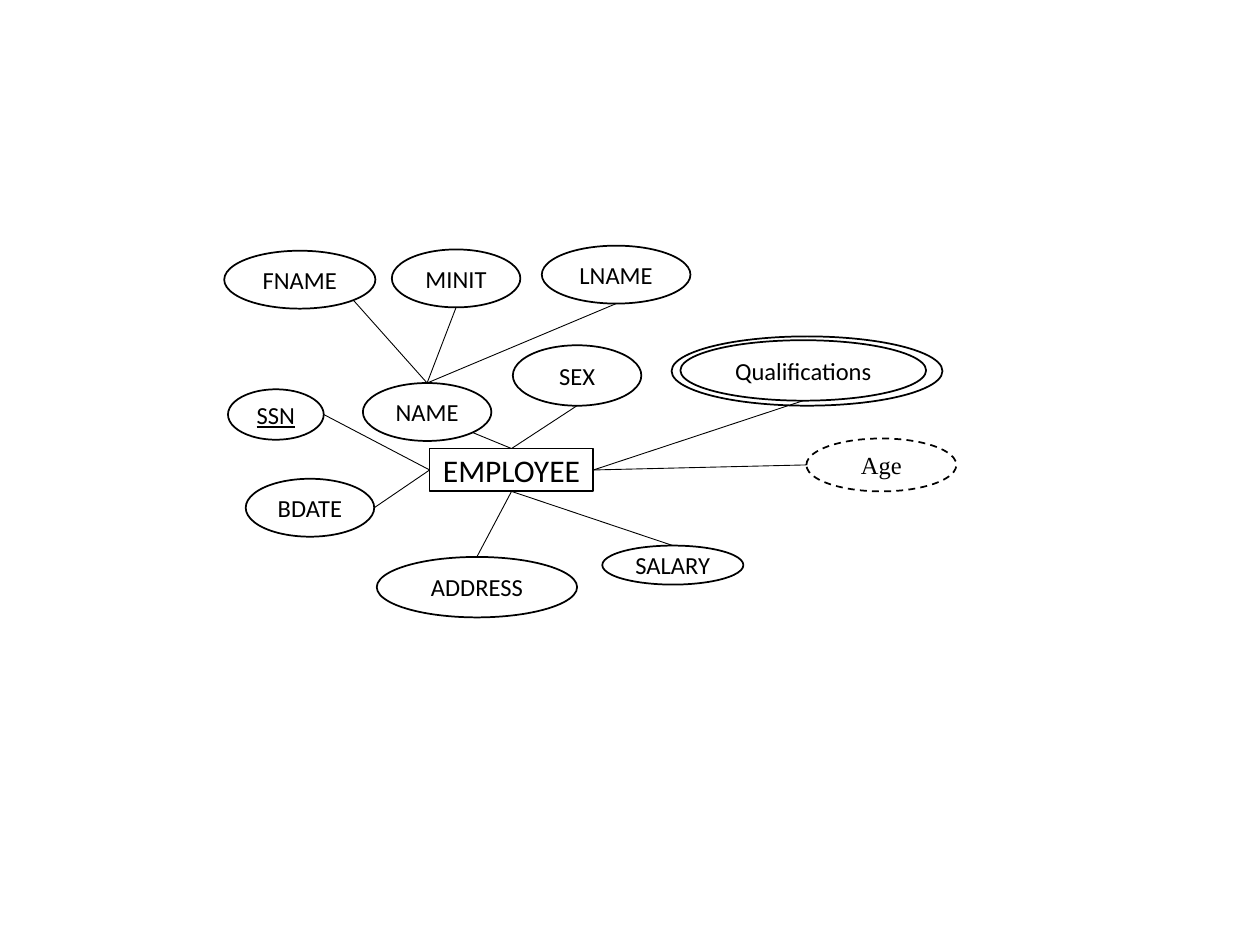
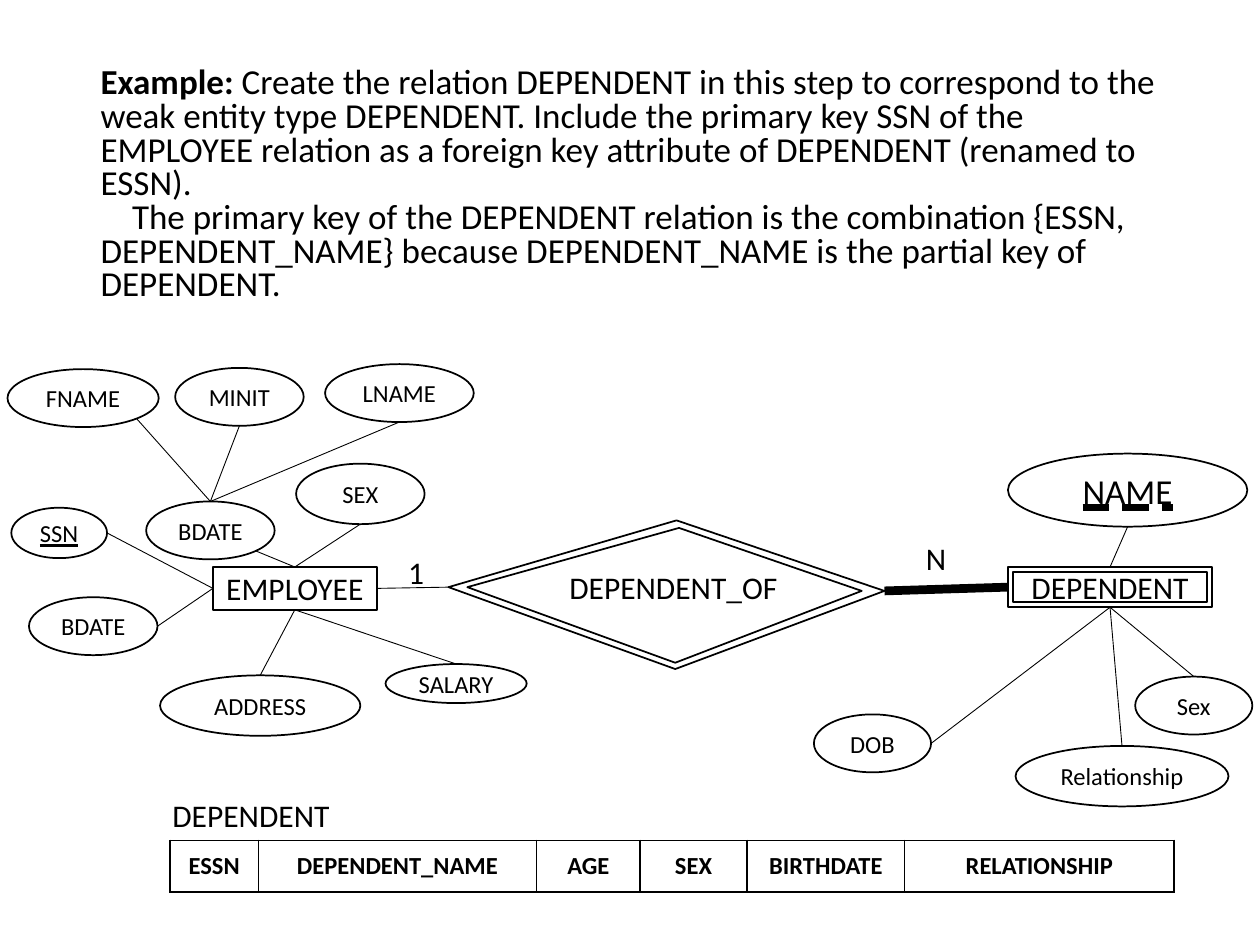
from dataclasses import dataclass
from typing import Optional

import pptx
import pptx.util
import pptx.dml.color
import pptx.enum.dml
import pptx.enum.shapes
import pptx.enum.text
import pptx.oxml
import pptx.oxml.ns

Inches = pptx.util.Inches
Pt = pptx.util.Pt
Shape = pptx.enum.shapes.MSO_SHAPE
Underline = pptx.enum.text.MSO_UNDERLINE

# Shared style
INK = pptx.dml.color.RGBColor(0x00, 0x00, 0x00)
PAPER = pptx.dml.color.RGBColor(0xFF, 0xFF, 0xFF)
FONT = "Calibri"
SERIF = "Times New Roman"
OUTLINE, HAIRLINE, HEAVY = 1, 0.5, 5

# Points on a node as fractions of its box
SIDES = {"top": (0.5, 0), "bottom": (0.5, 1), "left": (0, 0.5),
         "right": (1, 0.5), "lower right": (0.854, 0.854)}


@dataclass(frozen=True)
class Node:
    label: str
    x: float
    y: float
    w: float
    h: float
    kind: Shape = Shape.OVAL
    size: int = 14
    font: str = FONT
    underline: Optional[Underline] = None
    dashed: bool = False

    def point(self, side: str) -> tuple[float, float]:
        fx, fy = SIDES[side]
        return self.x + fx * self.w, self.y + fy * self.h


@dataclass(frozen=True)
class Link:
    """An attribute joined to one side of its owner."""
    node: Node
    side: str
    owner: Node
    owner_side: str


def add_run(p, text: str, size: int, bold: bool = False, font: str = FONT,
            underline: Optional[Underline] = None) -> None:
    r = p.add_run()
    r.text = text
    r.font.name = font
    r.font.size = Pt(size)
    r.font.bold = bold
    r.font.color.rgb = INK
    if underline is not None:
        r.font.underline = underline


def draw_node(s, node: Node) -> None:
    sp = s.shapes.add_shape(node.kind, Inches(node.x), Inches(node.y),
                            Inches(node.w), Inches(node.h))
    sp.shadow.inherit = False
    sp.fill.background()
    sp.line.color.rgb = INK
    sp.line.width = Pt(OUTLINE)
    if node.dashed:
        sp.line.dash_style = pptx.enum.dml.MSO_LINE.DASH
    if node.label:
        tf = sp.text_frame
        tf.word_wrap = False
        tf.vertical_anchor = pptx.enum.text.MSO_ANCHOR.MIDDLE
        p = tf.paragraphs[0]
        p.alignment = pptx.enum.text.PP_ALIGN.CENTER
        add_run(p, node.label, node.size, font=node.font,
                underline=node.underline)


def draw_line(s, start: tuple[float, float], end: tuple[float, float],
              width: float = HAIRLINE) -> None:
    cx = s.shapes.add_connector(
        pptx.enum.shapes.MSO_CONNECTOR.STRAIGHT,
        *(Inches(v) for v in (*start, *end)))
    cx.line.color.rgb = INK
    cx.line.width = Pt(width)
    cx._element.spPr.append(pptx.oxml.parse_xml(
        f"<a:effectLst {pptx.oxml.ns.nsdecls('a')}/>"))


def draw_links(s, links: list[Link]) -> None:
    for link in links:
        draw_node(s, link.node)
        draw_line(s, link.node.point(link.side),
                  link.owner.point(link.owner_side))


def draw_label(s, text: str, x: float, y: float, w: float) -> None:
    sp = s.shapes.add_textbox(Inches(x), Inches(y), Inches(w), Inches(0.4))
    sp.text_frame.word_wrap = False
    add_run(sp.text_frame.paragraphs[0], text, 18)


def draw_employee(s, dx: float, dy: float, name_label: str) -> Node:
    """Draw EMPLOYEE with its common attributes and return the entity."""
    def at(label: str, x: float, y: float, w: float, h: float, **style) -> Node:
        return Node(label, x + dx, y + dy, w, h, **style)

    employee = at("EMPLOYEE", 3.41, 3.56, 1.3, 0.34,
                  kind=Shape.RECTANGLE, size=18)
    name = at(name_label, 2.88, 3.04, 1.02, 0.46)
    ssn = at("SSN", 1.81, 3.09, 0.76, 0.4,
             underline=Underline.SINGLE_LINE)
    draw_node(s, employee)
    draw_links(s, [
        Link(ssn, "right", employee, "left"),
        Link(at("BDATE", 1.95, 3.8, 1.02, 0.46), "right", employee, "left"),
        Link(name, "lower right", employee, "top"),
        Link(at("LNAME", 4.3, 1.95, 1.18, 0.46), "bottom", name, "top"),
        Link(at("MINIT", 3.11, 1.98, 1.02, 0.46), "bottom", name, "top"),
        Link(at("FNAME", 1.78, 1.99, 1.2, 0.46), "lower right", name, "top"),
        Link(at("SEX", 4.07, 2.74, 1.02, 0.48), "bottom", employee, "top"),
        Link(at("ADDRESS", 2.99, 4.42, 1.59, 0.48), "top", employee, "bottom"),
        Link(at("SALARY", 4.78, 4.33, 1.12, 0.31), "top", employee, "bottom"),
    ])
    return employee


def draw_explanation(s) -> None:
    sp = s.shapes.add_textbox(Inches(0.2), Inches(0.49),
                              Inches(9.13), Inches(1.99))
    tf = sp.text_frame
    tf.word_wrap = True
    paragraphs = [
        (0, [("Example:", True),
             (" Create the relation DEPENDENT in this step to correspond to "
              "the weak entity type DEPENDENT. Include the primary key SSN of "
              "the EMPLOYEE relation as a foreign key attribute of DEPENDENT "
              "(renamed to ESSN).", False)]),
        (0.25, [("The primary key of the DEPENDENT relation is the combination "
                 "{ESSN, DEPENDENT_NAME} because DEPENDENT_NAME is the partial "
                 "key of DEPENDENT.", False)]),
    ]
    for i, (indent, runs) in enumerate(paragraphs):
        p = tf.add_paragraph() if i else tf.paragraphs[0]
        p.line_spacing = 0.8
        pPr = p._p.get_or_add_pPr()
        pPr.set("marL", str(Inches(0.5)))
        pPr.set("indent", str(Inches(indent)))
        for text, bold in runs:
            add_run(p, text, 20, bold)


def draw_relationship(s) -> None:
    """Double diamond of the identifying relationship."""
    outer = [(5.37, 4.13), (7.02, 4.69), (5.36, 5.31), (3.56, 4.66)]
    inner = [(5.39, 4.19), (3.71, 4.66), (5.36, 5.26), (6.84, 4.69)]
    outer, inner = ([(Inches(x), Inches(y)) for x, y in ring]
                    for ring in (outer, inner))
    fb = s.shapes.build_freeform(*outer[0])
    fb.add_line_segments(outer[1:])
    fb.move_to(*inner[0])
    fb.add_line_segments(inner[1:])
    sp = fb.convert_to_shape()
    sp.shadow.inherit = False
    sp.fill.solid()
    sp.fill.fore_color.rgb = PAPER
    sp.line.color.rgb = INK
    sp.line.width = Pt(OUTLINE)
    draw_label(s, "DEPENDENT_OF", 4.42, 4.46, 2.01)


def draw_relation_table(s) -> None:
    columns = [("ESSN", 0.7), ("DEPENDENT_NAME", 2.21), ("AGE", 0.82),
               ("SEX", 0.85), ("BIRTHDATE", 1.25), ("RELATIONSHIP", 2.14)]
    table = s.shapes.add_table(1, len(columns), Inches(1.35), Inches(6.67),
                               Inches(7.97), Inches(0.41)).table
    table.first_row = False
    table.horz_banding = False
    for i, (heading, width) in enumerate(columns):
        table.columns[i].width = Inches(width)
        cell = table.cell(0, i)
        cell.vertical_anchor = pptx.enum.text.MSO_ANCHOR.MIDDLE
        p = cell.text_frame.paragraphs[0]
        p.alignment = pptx.enum.text.PP_ALIGN.CENTER
        add_run(p, heading, 14, bold=True)
        tcPr = cell._tc.get_or_add_tcPr()
        for edge in ("lnL", "lnR", "lnT", "lnB"):
            tcPr.append(pptx.oxml.parse_xml(
                f'<a:{edge} {pptx.oxml.ns.nsdecls("a")} w="{Pt(OUTLINE)}">'
                f'<a:solidFill><a:srgbClr val="{INK}"/></a:solidFill>'
                f'</a:{edge}>'))
        cell.fill.background()


def build_employee_slide(s) -> None:
    employee = draw_employee(s, 0, 0, "NAME")
    qualifications = Node("Qualifications", 5.4, 2.7, 1.95, 0.48)
    age = Node("Age", 6.4, 3.48, 1.19, 0.42, font=SERIF, dashed=True)
    draw_links(s, [Link(qualifications, "bottom", employee, "right"),
                   Link(age, "left", employee, "right")])
    # Second ring marks a multivalued attribute
    draw_node(s, Node("", 5.33, 2.67, 2.15, 0.55))


def build_dependent_slide(s) -> None:
    draw_explanation(s)
    employee = draw_employee(s, -1.72, 0.94, "BDATE")

    # Weak entity and its attributes
    dependent = Node("DEPENDENT", 8, 4.5, 1.62, 0.32,
                     kind=Shape.FRAME, size=18)
    name = Node("NAME", 8, 3.6, 1.9, 0.58, size=20,
                underline=Underline.DASH_HEAVY_LINE)
    draw_node(s, dependent)
    draw_links(s, [
        Link(name, "bottom", dependent, "top"),
        Link(Node("DOB", 6.46, 5.67, 0.93, 0.46), "right",
             dependent, "bottom"),
        Link(Node("Relationship", 8.06, 5.92, 1.69, 0.48), "top",
             dependent, "bottom"),
        Link(Node("Sex", 9.01, 5.37, 0.93, 0.46), "top",
             dependent, "bottom"),
    ])

    # Relationship with its cardinalities
    draw_relationship(s)
    draw_line(s, employee.point("right"), (3.56, 4.66))
    draw_line(s, (7.02, 4.69), dependent.point("left"), HEAVY)
    draw_label(s, "N", 7.25, 4.23, 0.52)
    draw_label(s, "1", 3.14, 4.34, 0.4)

    # Resulting relation
    draw_relation_table(s)
    draw_label(s, "DEPENDENT", 1.27, 6.27, 1.56)


def main() -> None:
    prs = pptx.Presentation()
    prs.slide_width = Inches(10)
    prs.slide_height = Inches(7.5)
    for build in (build_employee_slide, build_dependent_slide):
        build(prs.slides.add_slide(prs.slide_layouts[6]))
    prs.save("out.pptx")


if __name__ == "__main__":
    main()
